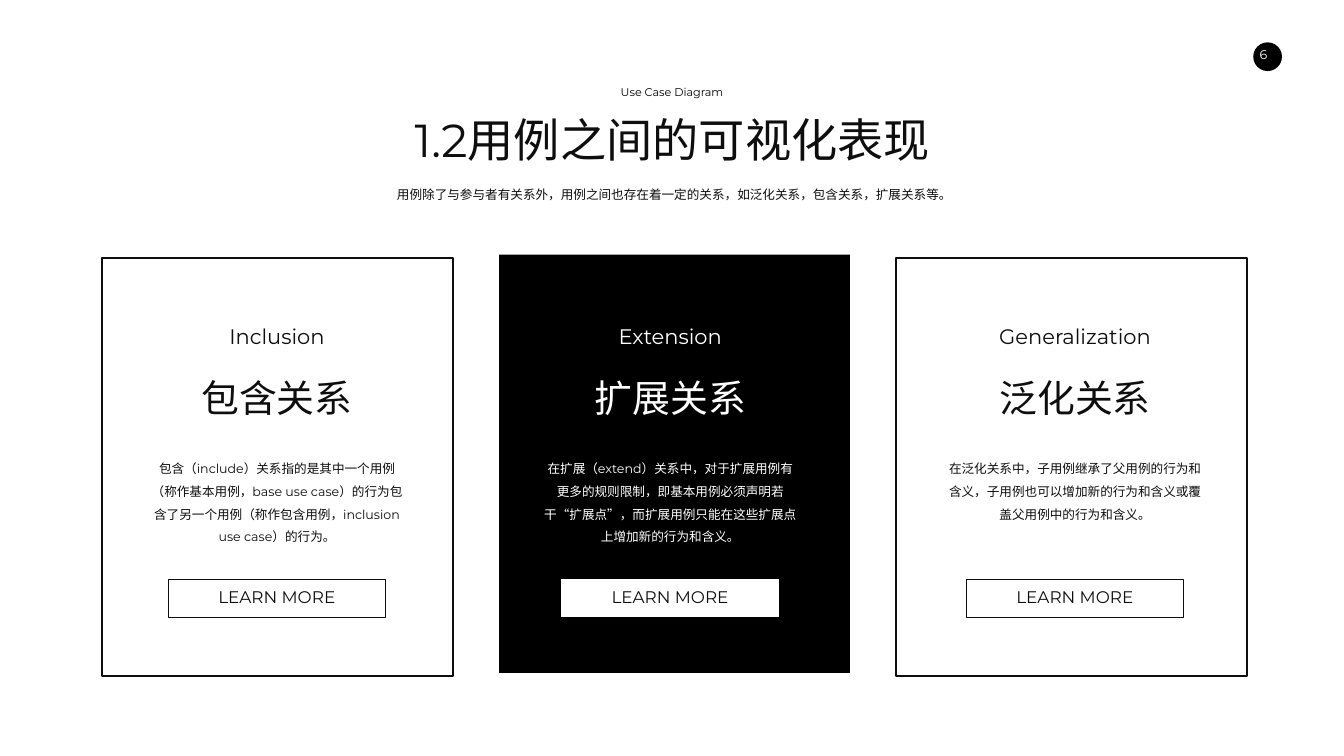
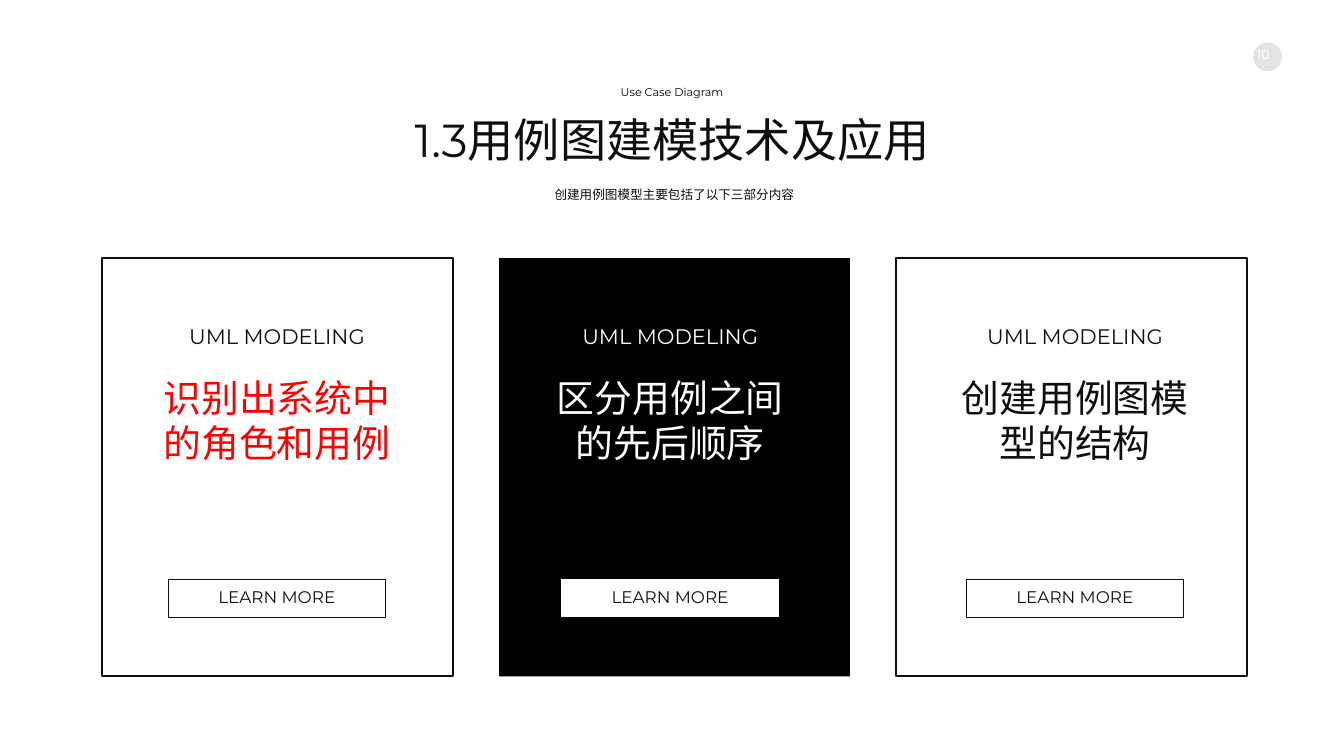
from dataclasses import dataclass

from lxml import etree
from pptx import Presentation
from pptx.dml.color import RGBColor
from pptx.enum import shapes, text
from pptx.oxml.ns import qn
from pptx.util import Inches, Pt


@dataclass(frozen=True)
class Theme:
    font: str = "Montserrat"
    ink: str = "0E0E0E"
    black: str = "000000"
    white: str = "FFFFFF"
    accent: str = "FF0000"
    title: int = 66
    name: int = 54
    label: int = 30
    button: int = 24
    body: int = 18
    kicker: int = 16


@dataclass(frozen=True)
class Card:
    label: str
    name: str
    body: str = ""
    name_color: str = ""


THEME = Theme()
PAGE_WIDTH, PAGE_HEIGHT = 26.66, 15
CARD_LEFT, CARD_TOP, CARD_STEP = 2.03, 5.12, 7.87
CARD_WIDTH, CARD_HEIGHT = 6.96, 8.3
CONTENT_AXES = (3.46, 3.39, 3.55)
DARK_CARD = 1


def add_box(page, left, top, width, height, fill=None, line=None, weight=1,
            kind=shapes.MSO_SHAPE.RECTANGLE):
    box = page.shapes.add_shape(kind, Inches(left), Inches(top), Inches(width), Inches(height))
    box.shadow.inherit = False
    if fill:
        box.fill.solid()
        box.fill.fore_color.rgb = RGBColor.from_string(fill)
    else:
        box.fill.background()
    if line:
        box.line.color.rgb = RGBColor.from_string(line)
        box.line.width = Pt(weight)
    else:
        box.line.fill.background()
    return box


def add_text(page, words, left, top, width, height, size, color,
             spacing=None, anchor=text.MSO_ANCHOR.TOP):
    box = page.shapes.add_textbox(Inches(left), Inches(top), Inches(width), Inches(height))
    frame = box.text_frame
    frame.word_wrap = True
    frame.vertical_anchor = anchor
    para = frame.paragraphs[0]
    para.text = words
    para.alignment = text.PP_ALIGN.CENTER
    if spacing:
        para.line_spacing = spacing
    para.font.name = THEME.font
    para.font.size = Pt(size)
    para.font.color.rgb = RGBColor.from_string(color)


def add_page_number(page, number, left=24.86, top=0.84):
    add_box(page, left, top, 0.57, 0.57, fill=THEME.black, kind=shapes.MSO_SHAPE.OVAL)
    add_text(page, str(number), left - 0.16, top + 0.05, 0.72, 0.5, THEME.body, THEME.white)


def add_veil(page):
    veil = add_box(page, 0, 0, PAGE_WIDTH, PAGE_HEIGHT, fill=THEME.white)
    color = veil.fill._xPr.find(qn("a:solidFill"))[0]
    etree.SubElement(color, qn("a:alpha"), val="89000")


def add_header(page, title, summary, top=1.65):
    add_text(page, "Use Case Diagram", 10.44, top, 5.78, 0.37, THEME.kicker, THEME.black)
    add_text(page, title, 7.47, top + 0.5, 11.73, 1.21, THEME.title, THEME.ink)
    add_text(page, summary, 5.36, top + 1.85, 16.03, 0.95, THEME.body, THEME.ink, spacing=1.5)


def add_button(page, axis, top):
    add_text(page, "LEARN MORE", axis - 1.87, top + 0.1, 3.74, 0.5, THEME.button, THEME.ink)


def add_card(page, card, left, axis, dark, rise):
    color = THEME.white if dark else THEME.ink
    fill = THEME.black if dark else None
    line = None if dark else THEME.ink
    center = left + axis
    button_top = CARD_TOP + 6.37
    add_box(page, left, CARD_TOP - rise, CARD_WIDTH, CARD_HEIGHT, fill, line, weight=3)
    add_text(page, card.label, center - 2.48, CARD_TOP + 1.13, 4.97, 0.84,
             THEME.label, color, anchor=text.MSO_ANCHOR.MIDDLE)
    add_text(page, card.name, center - 2.48, CARD_TOP + 2.26, 4.97, 1.01,
             THEME.name, card.name_color or color)
    if card.body:
        add_text(page, card.body, center - 2.65, CARD_TOP + 3.83, 5.31, 1.92,
                 THEME.body, color, spacing=1.5)
    add_box(page, center - 2.16, button_top, 4.32, 0.75, THEME.white if dark else None, line)
    add_button(page, center, button_top)


def add_card_page(deck, number, title, summary, cards, veiled=False, dark_rise=0):
    page = deck.slides.add_slide(deck.slide_layouts[6])
    add_page_number(page, number)
    if veiled:
        add_veil(page)
    add_header(page, title, summary)
    for index, (card, axis) in enumerate(zip(cards, CONTENT_AXES)):
        dark = index == DARK_CARD
        add_card(page, card, CARD_LEFT + index * CARD_STEP, axis, dark, dark_rise if dark else 0)


def main():
    deck = Presentation()
    deck.slide_width = Inches(PAGE_WIDTH)
    deck.slide_height = Inches(PAGE_HEIGHT)
    add_card_page(
        deck, 6, "1.2用例之间的可视化表现",
        "用例除了与参与者有关系外，用例之间也存在着一定的关系，如泛化关系，包含关系，扩展关系等。",
        [
            Card("Inclusion", "包含关系",
                 "包含（include）关系指的是其中一个用例（称作基本用例，base use case）的行为"
                 "包含了另一个用例（称作包含用例，inclusion use case）的行为。"),
            Card("Extension", "扩展关系",
                 "在扩展（extend）关系中，对于扩展用例有更多的规则限制，即基本用例必须声明"
                 "若干“扩展点”，而扩展用例只能在这些扩展点上增加新的行为和含义。"),
            Card("Generalization", "泛化关系",
                 "在泛化关系中，子用例继承了父用例的行为和含义，子用例也可以增加新的行为和"
                 "含义或覆盖父用例中的行为和含义。"),
        ],
        dark_rise=0.07)
    add_card_page(
        deck, 10, "1.3用例图建模技术及应用", "创建用例图模型主要包括了以下三部分内容",
        [
            Card("UML MODELING", "识别出系统中的角色和用例", name_color=THEME.accent),
            Card("UML MODELING", "区分用例之间的先后顺序"),
            Card("UML MODELING", "创建用例图模型的结构"),
        ],
        veiled=True)
    deck.save("out.pptx")


if __name__ == "__main__":
    main()
